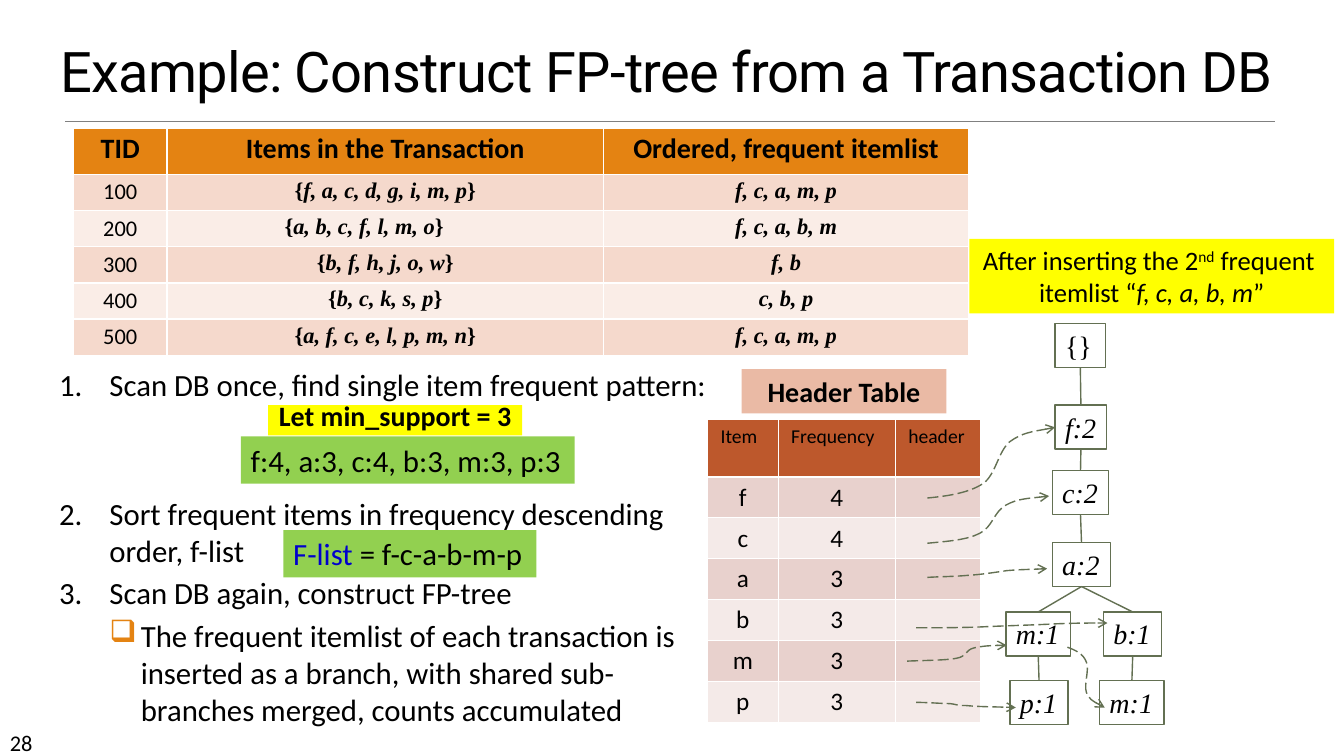
from dataclasses import dataclass
from itertools import cycle

from lxml import etree
from pptx import Presentation
from pptx.dml.color import RGBColor
from pptx.enum import dml, shapes, text
from pptx.oxml import ns
from pptx.util import Cm, Pt


@dataclass(frozen=True)
class Theme:
    sans: str = "Calibri"
    serif: str = "Times New Roman"
    heading: str = "Roboto"
    black: str = "000000"
    rule: str = "808080"
    branch: str = "637052"
    orange: str = "E48312"
    rust: str = "BD582C"
    peach: str = "EABAA5"
    green: str = "92D050"
    yellow: str = "FFFF00"
    blue: str = "0000CC"
    transaction_bands: tuple = ("F5D9CC", "FAEDE7")
    header_bands: tuple = ("E8D1CD", "F4EAE8")
    title: int = 40
    body: int = 22
    label: int = 20
    note: int = 19
    count: int = 18
    small: int = 16
    column: int = 14


THEME = Theme()
LEFT, CENTER = text.PP_ALIGN.LEFT, text.PP_ALIGN.CENTER

TRANSACTIONS = [
    ("100", "f, a, c, d, g, i, m, p", "}", "f, c, a, m, p"),
    ("200", "a, b, c, f, l, m, o", "}\t", "f, c, a, b, m"),
    ("300", "b, f, h, j, o, w", "}", "f, b"),
    ("400", "b, c, k, s, p", "}", "c, b, p"),
    ("500", "a, f, c, e, l, p, m, n", "}", "f, c, a, m, p"),
]
FREQUENCIES = [("f", "4"), ("c", "4"), ("a", "3"), ("b", "3"), ("m", "3"), ("p", "3")]
STEPS = [
    ("Scan DB once, find single item frequent pattern:", 0),
    ("Sort frequent items in frequency descending order, f-list", 65.5),
    ("Scan DB again, construct FP-tree", 4),
]
DETAIL = ("The frequent itemlist of each transaction is inserted as a branch, "
          "with shared sub-branches merged, counts accumulated")
NODES = {
    "root": ("{}", 26.59, 8.15, 1.27),
    "f": ("f:2", 26.59, 10.21, 1.3),
    "c": ("c:2", 26.52, 11.86, 1.42),
    "a": ("a:2", 26.52, 13.67, 1.47),
    "b": ("b:1", 27.81, 15.42, 1.47),
    "m": ("m:1", 25.35, 15.42, 1.63),
    "p": ("p:1", 25.45, 17.15, 1.47),
    "m after b": ("m:1", 27.71, 17.15, 1.63),
}
BRANCHES = [("root", "f"), ("f", "c"), ("c", "a"), ("a", "m"), ("a", "b"),
            ("m", "p"), ("b", "m after b")]
NODE_LINKS = [
    [(23.37, 12.55), (23.9, 12.5), (24.41, 12.42), (24.77, 12.19), (25.1, 11.96),
     (25.15, 11.38), (25.45, 11.13), (25.76, 10.9), (26.19, 10.85), (26.59, 10.77)],
    [(23.37, 14.55), (23.7, 14.53), (24.05, 14.53), (24.38, 14.5), (24.71, 14.48),
     (25.04, 14.43), (25.37, 14.38), (25.73, 14.35), (26.06, 14.35), (26.39, 14.33)],
    [(23.09, 15.82), (23.6, 15.82), (24.1, 15.82), (24.69, 15.8), (25.27, 15.77),
     (26.09, 15.75), (26.62, 15.72), (27.15, 15.7), (27.53, 15.7), (27.91, 15.7)],
    [(22.86, 16.66), (23.34, 16.64), (23.83, 16.64), (24.1, 16.59), (24.38, 16.54),
     (24.33, 16.38), (24.54, 16.33), (24.74, 16.28), (25.07, 16.26), (25.37, 16.26)],
    [(26.9, 16.31), (27.1, 16.38), (27.31, 16.48), (27.38, 16.69), (27.46, 16.87),
     (27.31, 17.25), (27.38, 17.45), (27.46, 17.63), (27.64, 17.73), (27.84, 17.83)],
    [(23.09, 17.7), (23.4, 17.7), (23.72, 17.73), (23.93, 17.73), (24.13, 17.75),
     (24.08, 17.78), (24.36, 17.78), (24.64, 17.81), (25.12, 17.81), (25.6, 17.83)],
    [(23.37, 13.69), (23.88, 13.64), (24.36, 13.61), (24.69, 13.44), (25.02, 13.28),
     (25.04, 12.9), (25.35, 12.73), (25.63, 12.57), (26.04, 12.55), (26.44, 12.5)],
]


def style_font(font, size, name=THEME.sans, color=THEME.black, bold=False, italic=False):
    font.size, font.name, font.bold, font.italic = Pt(size), name, bold, italic
    font.color.rgb = RGBColor.from_string(color)


def write(paragraph, words, size, align=LEFT, **look):
    paragraph.alignment = align
    style_font(paragraph.font, size, **look)
    run = paragraph.add_run()
    run.text = words
    return run


def write_mixed(paragraph, pieces, size, align=LEFT, **look):
    paragraph.alignment = align
    runs = []
    for words, change in pieces:
        run = paragraph.add_run()
        run.text = words
        style_font(run.font, size, **{**look, **change})
        runs.append(run)
    return runs


def add_text(slide, box):
    frame = slide.shapes.add_textbox(*map(Cm, box)).text_frame
    frame.word_wrap = True
    return frame


def add_box(slide, box, fill=None, line=None, wrap=False):
    shape = slide.shapes.add_shape(shapes.MSO_SHAPE.RECTANGLE, *map(Cm, box))
    shape.shadow.inherit = False
    if fill:
        shape.fill.solid()
        shape.fill.fore_color.rgb = RGBColor.from_string(fill)
    else:
        shape.fill.background()
    if line:
        shape.line.color.rgb = RGBColor.from_string(line)
        shape.line.width = Pt(1)
    else:
        shape.line.fill.background()
    shape.text_frame.word_wrap = wrap
    shape.text_frame.vertical_anchor = text.MSO_ANCHOR.TOP
    return shape


def add_line(slide, color, width, start=(0, 0), end=(0, 0)):
    line = slide.shapes.add_connector(shapes.MSO_CONNECTOR.STRAIGHT, *map(Cm, start + end))
    line.line.color.rgb = RGBColor.from_string(color)
    line.line.width = Pt(width)
    etree.SubElement(line._element.spPr, ns.qn("a:effectLst"))
    return line


def add_node_link(slide, points):
    start, *rest = [(Cm(x), Cm(y)) for x, y in points]
    builder = slide.shapes.build_freeform(*start)
    builder.add_line_segments(rest, close=False)
    link = builder.convert_to_shape()
    link.shadow.inherit = False
    link.fill.background()
    link.line.color.rgb = RGBColor.from_string(THEME.branch)
    link.line.width = Pt(1)
    link.line.dash_style = dml.MSO_LINE.LONG_DASH
    etree.SubElement(link.line._get_or_add_ln(), ns.qn("a:tailEnd"), type="arrow")
    outline = next(link._element.iter(ns.qn("a:path")))
    segments = outline.findall(ns.qn("a:lnTo"))
    for first in range(0, len(segments), 3):
        curve = etree.SubElement(outline, ns.qn("a:cubicBezTo"))
        for segment in segments[first:first + 3]:
            curve.append(segment[0])
            outline.remove(segment)


def add_grid(slide, left, top, widths, heights, head_fill, bands, margin):
    grid = slide.shapes.add_table(len(heights), len(widths), Cm(left), Cm(top),
                                  Cm(sum(widths)), Cm(sum(heights))).table
    for column, width in zip(grid.columns, widths):
        column.width = Cm(width)
    band = cycle(bands)
    for number, (row, height) in enumerate(zip(grid.rows, heights)):
        row.height = Cm(height)
        fill = next(band) if number else head_fill
        for cell in row.cells:
            cell.fill.solid()
            cell.fill.fore_color.rgb = RGBColor.from_string(fill)
            cell.margin_left = cell.margin_right = Cm(0.33)
            cell.margin_top = cell.margin_bottom = Cm(margin)
    return grid


def first_line(holder):
    return holder.text_frame.paragraphs[0]


def add_header_table(slide):
    grid = add_grid(slide, 17.83, 10.57, (1.78, 2.95, 2.16), [1.45] + [1.03] * 6,
                    THEME.rust, THEME.header_bands, 0.13)
    for column, words in enumerate(("Item", "Frequency", "header")):
        write(first_line(grid.cell(0, column)), words, THEME.column)
    for row, entry in enumerate(FREQUENCIES, 1):
        for column, words in enumerate(entry):
            write(first_line(grid.cell(row, column)), words, THEME.count, CENTER)


def add_transactions(slide):
    grid = add_grid(slide, 1.85, 3.23, (2.36, 11, 9.2), [1.17] + [0.91] * 5,
                    THEME.orange, THEME.transaction_bands, 0.1)
    for column, words in enumerate(("TID", "Items in the Transaction", "Ordered, frequent itemlist")):
        write(first_line(grid.cell(0, column)), words, THEME.label, CENTER, bold=True)
    serif = {"name": THEME.serif, "bold": True}
    for row, (tid, items, closing, ordered) in enumerate(TRANSACTIONS, 1):
        tid_line, items_line, ordered_line = (first_line(cell) for cell in grid.rows[row].cells)
        write(tid_line, tid, THEME.small, CENTER)
        write_mixed(items_line, [("{", {}), (items, {"italic": True}), (closing, {})],
                    THEME.small, CENTER, **serif)
        write(ordered_line, ordered, THEME.small, CENTER, italic=True, **serif)


def indent(paragraph, left, hanging):
    properties = paragraph._p.get_or_add_pPr()
    properties.set("marL", str(Cm(left)))
    properties.set("indent", str(-Cm(hanging)))
    return properties


def add_steps(slide):
    frame = add_text(slide, (1.24, 9.09, 16.87, 9.78))
    for number, (words, gap) in enumerate(STEPS):
        step = frame.add_paragraph() if number else frame.paragraphs[0]
        step.space_before = Pt(gap)
        etree.SubElement(indent(step, 1.27, 1.27), ns.qn("a:buAutoNum"), type="arabicPeriod")
        write(step, words, THEME.body)
    detail = frame.add_paragraph()
    detail.level = 1
    detail.space_before = Pt(4)
    properties = indent(detail, 2.06, 0.79)
    tint = etree.SubElement(properties, ns.qn("a:buClr"))
    etree.SubElement(tint, ns.qn("a:srgbClr"), val=THEME.orange)
    etree.SubElement(properties, ns.qn("a:buChar"), char="❑")
    write(detail, DETAIL, THEME.body)


def add_labels(slide):
    counts = add_box(slide, (6.07, 11, 8.41, 1.19), THEME.green)
    write(first_line(counts), "f:4, a:3, c:4, b:3, m:3, p:3", THEME.body)
    caption = add_box(slide, (18.69, 9.3, 5.16, 1.12), THEME.peach, wrap=True)
    write(first_line(caption), "Header Table", THEME.label, CENTER, bold=True)
    support = add_box(slide, (6.76, 10.21, 6.4, 0.76), THEME.yellow, wrap=True)
    write(first_line(support), "Let min_support = 3", THEME.label, CENTER, bold=True)
    first_line(support).line_spacing = 0.6
    progress = add_box(slide, (24.43, 6.02, 9.19, 1.88), THEME.yellow)
    runs = write_mixed(first_line(progress), [("After inserting the 2", {}), ("nd", {}),
                                              (" frequent ", {})], THEME.note, CENTER)
    runs[1].font._element.set("baseline", "30000")
    write_mixed(progress.text_frame.add_paragraph(),
                [("itemlist “", {}), ("f, c, a, b, m", {"italic": True}), ("”", {})],
                THEME.note, CENTER)


def add_tree(slide):
    nodes = {}
    for key, (words, left, top, width) in NODES.items():
        nodes[key] = add_box(slide, (left, top, width, 1.11), line=THEME.branch)
        write(first_line(nodes[key]), words, THEME.label, name=THEME.serif, italic=key != "root")
    for parent, child in BRANCHES:
        branch = add_line(slide, THEME.branch, 1)
        branch.begin_connect(nodes[parent], 2)
        branch.end_connect(nodes[child], 0)
    for points in NODE_LINKS:
        add_node_link(slide, points)


def main():
    deck = Presentation()
    deck.slide_width, deck.slide_height = Cm(33.87), Cm(19.05)
    slide = deck.slides.add_slide(deck.slide_layouts[6])
    add_line(slide, THEME.rule, 0.5, (1.65, 3.05), (32.13, 3.05))
    write(add_text(slide, (0, 18.24, 2.97, 0.76)).paragraphs[0], "28", THEME.small)
    add_header_table(slide)
    heading = add_text(slide, (0.56, 0.84, 32.46, 1.9))
    heading.vertical_anchor = text.MSO_ANCHOR.BOTTOM
    title = write(heading.paragraphs[0], "Example: Construct FP-tree from a Transaction DB",
                  THEME.title, CENTER, name=THEME.heading)
    title.font._element.set("spc", "-50")
    heading.paragraphs[0].line_spacing = 0.85
    add_steps(slide)
    f_list = add_box(slide, (7.14, 13.36, 6.38, 1.19), THEME.green)
    write_mixed(first_line(f_list), [("F-list ", {"color": THEME.blue}), ("= f-c-a-b-m-p", {})],
                THEME.body)
    add_transactions(slide)
    add_labels(slide)
    add_tree(slide)
    deck.save("out.pptx")


if __name__ == "__main__":
    main()
